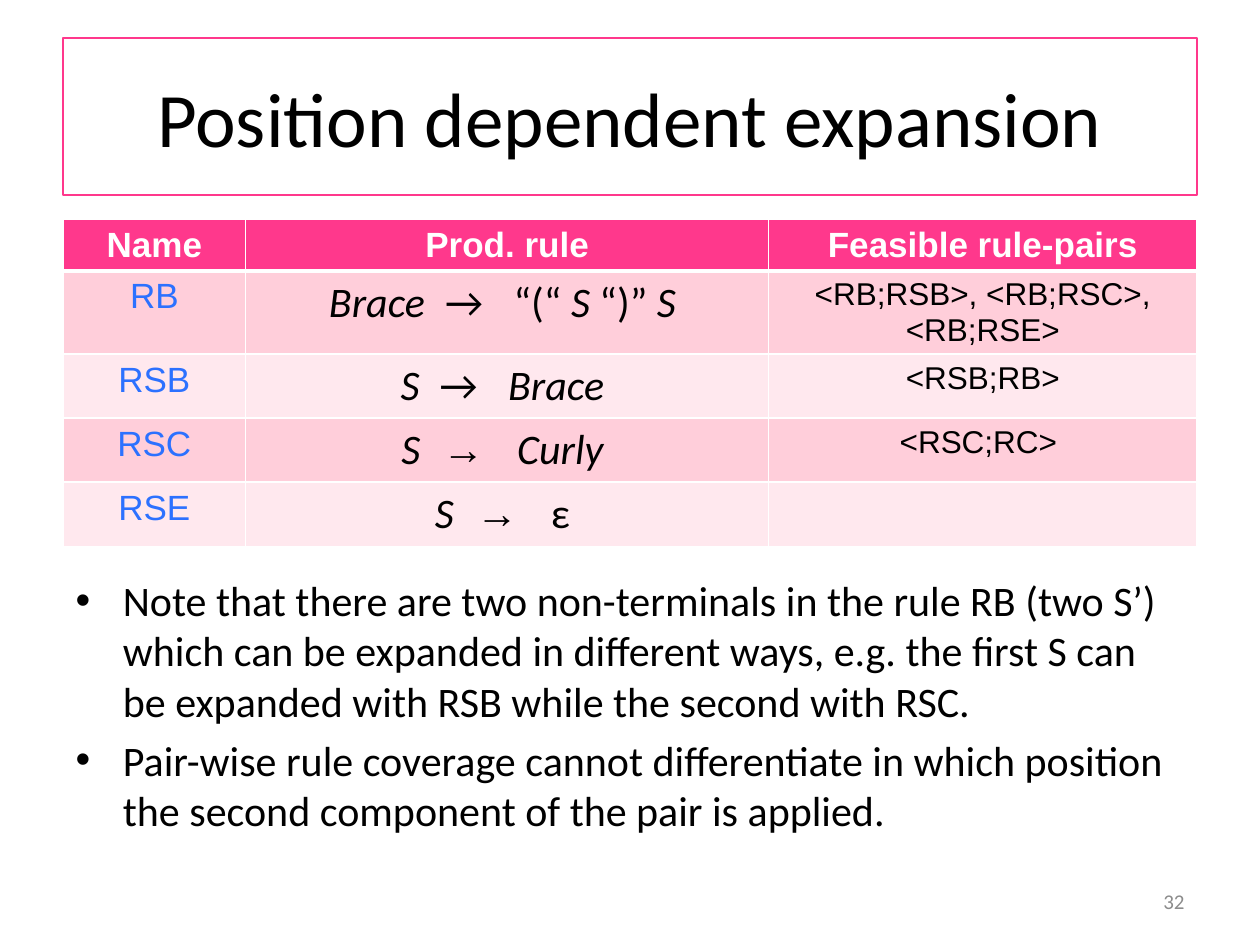
from pptx import Presentation
from pptx.dml.color import RGBColor
from pptx.enum.text import MSO_ANCHOR, PP_ALIGN
from pptx.oxml import parse_xml
from pptx.oxml.ns import nsdecls
from pptx.util import Pt

CENTER, RIGHT = PP_ALIGN.CENTER, PP_ALIGN.RIGHT
MIDDLE = MSO_ANCHOR.MIDDLE
PINK, WHITE, BLACK = "FF388C", "FFFFFF", "000000"
BANDS = ["FFCEDA", "FFE8EE"]
LEFT, WIDE = 36, 648

TITLE = "Position dependent expansion"
NOTES = [
    "Note that there are two non-terminals in the rule RB (two S’) which can be "
    "expanded in different ways, e.g. the first S can be expanded with RSB while "
    "the second with RSC.",
    "Pair-wise rule coverage cannot differentiate in which position the second "
    "component of the pair is applied.",
]
NUMBER = "32"

HEAD = ["Name", "Prod. rule", "Feasible rule-pairs"]
# name, left side, arrow font, right side as (text, italic), pairs
RULES = [
    ("RB", "Brace", "Calibri",
     [("“(“ ", False), ("S ", True), ("“)” ", False), ("S ", True)],
     "<RB;RSB>, <RB;RSC>, <RB;RSE>"),
    ("RSB", "S", "Calibri", [("Brace ", True)], "<RSB;RB>"),
    ("RSC", "S", "Arial", [("Curly ", True)], "<RSC;RC> "),
    ("RSE", "S", "Arial", [("ε ", False)], ""),
]
COLS = [104.4, 298.8, 244.8]
ROWS = [29.5, 47.5, 36.6, 36.6, 36.6]

BASE = {"name": "Calibri", "size": Pt(24)}
HEADFMT = {"name": "Arial", "size": Pt(20), "bold": True}
NAMEFMT = {"name": "Arial", "size": Pt(20), "bold": False}
PAIRFMT = {"name": "Arial", "size": Pt(18), "bold": False}
RULEFMT = {**BASE, "bold": False}


def paint(target, color):
    """Give a fill or a font a solid colour."""
    if hasattr(target, "solid"):
        target.solid()
        target = target.fore_color
    else:
        target = target.color
    target.rgb = RGBColor.from_string(color)


def write(para, text, fmt, color=BLACK):
    run = para.add_run()
    run.text = text
    for key, value in fmt.items():
        setattr(run.font, key, value)
    paint(run.font, color)
    return run


def place(shape, *box):
    for key, value in zip(("left", "top", "width", "height"), box):
        setattr(shape, key, Pt(value))


def edge(cell, **widths):
    """Draw white cell borders of the given widths."""
    props = cell._tc.get_or_add_tcPr()
    for side in "LRTB":
        props.append(parse_xml(
            f'<a:ln{side} {nsdecls("a")} w="{Pt(widths.get(side, 1))}">'
            f'<a:solidFill><a:srgbClr val="{WHITE}"/></a:solidFill></a:ln{side}>'))


def derive(para, start, font, parts):
    """Write one production rule with wide gaps round its arrow."""
    write(para, start, {**RULEFMT, "italic": True})
    arrow = write(para, " → ", {**RULEFMT, "name": font})
    arrow._r.get_or_add_rPr().set("spc", "600")
    for text, slant in parts:
        write(para, text, {**RULEFMT, "italic": slant})


def build_table(slide):
    frame = slide.shapes.add_table(
        len(ROWS), len(COLS), Pt(LEFT), Pt(125.3), Pt(WIDE), Pt(sum(ROWS)))
    table = frame.table
    for col, width in zip(table.columns, COLS):
        col.width = Pt(width)
    for r, height in enumerate(ROWS):
        table.rows[r].height = Pt(height)
        for cell in table.rows[r].cells:
            edge(cell, T=3 if r == 1 else 1, B=3 if r == 0 else 1)
            paint(cell.fill, BANDS[(r - 1) % 2] if r else PINK)
            cell.text_frame.paragraphs[0].alignment = CENTER

    def para(r, c):
        return table.cell(r, c).text_frame.paragraphs[0]

    for c, text in enumerate(HEAD):
        write(para(0, c), text, HEADFMT, WHITE)
    for r, (name, start, font, parts, pairs) in enumerate(RULES, 1):
        write(para(r, 0), name, NAMEFMT, "2C71FF")
        derive(para(r, 1), start, font, parts)
        if pairs:
            write(para(r, 2), pairs, PAIRFMT)


def main():
    prs = Presentation()
    prs.slide_width, prs.slide_height = Pt(720), Pt(540)
    slide = prs.slides.add_slide(prs.slide_layouts[1])
    title, body = slide.placeholders

    place(title, LEFT, 21.6, WIDE, 90)
    paint(title.line.fill, PINK)
    title.line.width = Pt(1)
    title.text_frame.vertical_anchor = MIDDLE
    head = title.text_frame.paragraphs[0]
    head.alignment = CENTER
    write(head, TITLE, {**BASE, "size": Pt(44)})

    place(body, LEFT, 324.7, WIDE, 155.5)
    frame = body.text_frame
    for i, note in enumerate(NOTES):
        para = frame.add_paragraph() if i else frame.paragraphs[0]
        para.space_before = Pt(4.8 if i else 0)
        write(para, note, BASE)

    build_table(slide)

    box = slide.shapes.add_textbox(Pt(516), Pt(500.5), Pt(168), Pt(28.75))
    box.text_frame.word_wrap = True
    box.text_frame.vertical_anchor = MIDDLE
    foot = box.text_frame.paragraphs[0]
    foot.alignment = RIGHT
    write(foot, NUMBER, {**BASE, "size": Pt(12)}, "8C8C8C")

    prs.save("out.pptx")


if __name__ == "__main__":
    main()
